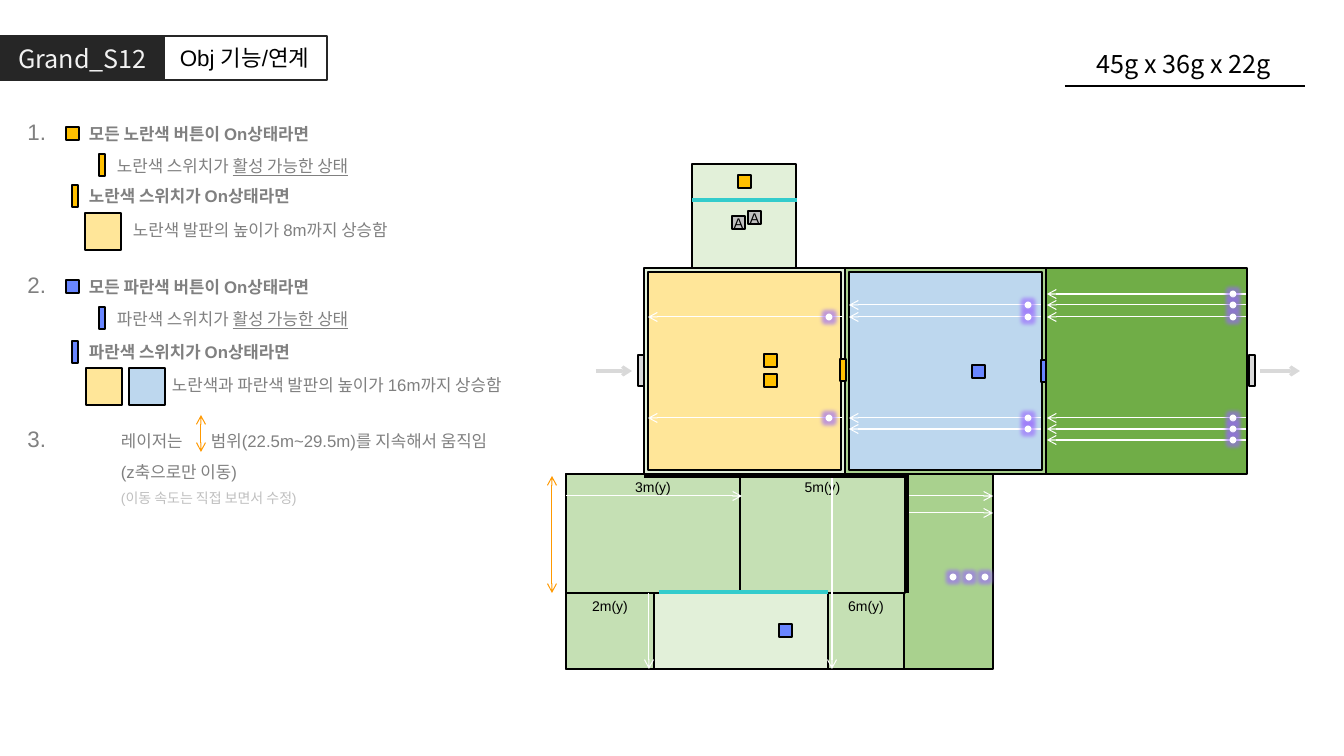
from dataclasses import dataclass
from itertools import chain
from typing import NamedTuple, Optional

from lxml.etree import SubElement
from pptx import Presentation
from pptx.dml.color import RGBColor
from pptx.enum.shapes import MSO_CONNECTOR, MSO_SHAPE
from pptx.enum.text import MSO_ANCHOR, PP_ALIGN
from pptx.oxml.ns import qn
from pptx.util import Emu, Pt

SCALE = 12192000 / 1344  # EMU per pixel
COLORS = {
    "white": "FFFFFF", "black": "000000", "dark": "262626", "light": "F2F2F2",
    "text": "808080", "faint": "BFBFBF", "gate": "D9D9D9", "orange": "FF9900",
    "teal": "33CCCC", "yellow": "FFC000", "blue": "6986FF", "glow": "9966FF",
    "yellow_pad": "FFE699", "blue_pad": "BDD7EE", "pale": "E2F0D9",
    "soft": "C5E0B4", "mid": "A9D18E", "deep": "70AD47",
}
SANS, NOTO = "Arial", "Noto Sans CJK KR"
BUTTON, SWITCH, PAD, GATE = (13, 13), (6, 22), (36, 37), (6, 31)


class Run(NamedTuple):
    text: str
    size: int = 12
    color: str = "text"
    font: str = SANS
    bold: bool = False
    underline: bool = False


class Box(NamedTuple):
    x: int
    y: int
    w: int
    h: int
    fill: Optional[str] = None
    line: Optional[str] = "black"
    weight: float = 1
    run: Optional[Run] = None
    middle: bool = False
    tight: bool = False


class Line(NamedTuple):
    x1: int
    y1: int
    x2: int
    y2: int
    color: str = "white"
    weight: float = 0.75
    head: bool = False
    tail: bool = True


class Lasers(NamedTuple):
    start: int
    end: int
    emitter: int
    rows: tuple


@dataclass
class Rule:
    number: str
    word: str
    color: str
    top: int
    switch_top: int
    pad_top: int
    pads: dict
    result: str
    result_x: int


def px(n: float) -> Emu:
    """Turn pixels into EMU."""
    return Emu(round(n * SCALE))


def rgb(name: str) -> RGBColor:
    """Look a colour up by name."""
    return RGBColor.from_string(COLORS[name])


def add_run(p, run: Run) -> None:
    """Append one formatted run to a paragraph."""
    r = p.add_run()
    r.text = run.text
    r.font.size, r.font.name = Pt(run.size), run.font
    r.font.color.rgb = rgb(run.color)
    if run.bold:
        r.font.bold = True
    if run.underline:
        r.font.underline = True


def add_box(box: Box, kind=MSO_SHAPE.RECTANGLE):
    """Draw a preset shape with optional centred text."""
    sp = shapes.add_shape(kind, *map(px, box[:4]))
    sp.shadow.inherit = False
    if box.fill:
        sp.fill.solid()
        sp.fill.fore_color.rgb = rgb(box.fill)
    else:
        sp.fill.background()
    if box.line:
        sp.line.color.rgb = rgb(box.line)
        sp.line.width = Pt(box.weight)
    else:
        sp.line.fill.background()
    if box.run:
        tf = sp.text_frame
        tf.word_wrap = True
        tf.vertical_anchor = MSO_ANCHOR.MIDDLE if box.middle else MSO_ANCHOR.TOP
        if box.tight:
            tf.margin_left = tf.margin_right = tf.margin_top = tf.margin_bottom = 0
        tf.paragraphs[0].alignment = PP_ALIGN.CENTER
        add_run(tf.paragraphs[0], box.run)
    return sp


def add_dot(x: int, y: int) -> None:
    """Draw a glowing laser emitter centred on a point."""
    sp = add_box(Box(x - 2, y - 2, 4, 4, "white", "white", 2), MSO_SHAPE.OVAL)
    effects = sp._element.spPr.find(qn("a:effectLst"))
    glow = SubElement(effects, qn("a:glow"), rad=str(Pt(5)))
    color = SubElement(glow, qn("a:srgbClr"), val=COLORS["glow"])
    SubElement(color, qn("a:alpha"), val="60000")


def add_line(line: Line) -> None:
    """Draw a straight line with optional arrowheads."""
    cx = shapes.add_connector(MSO_CONNECTOR.STRAIGHT, *map(px, line[:4]))
    cx.line.color.rgb = rgb(line.color)
    cx.line.width = Pt(line.weight)
    ln = cx.line._get_or_add_ln()
    for tag, shown in (("a:headEnd", line.head), ("a:tailEnd", line.tail)):
        if shown:
            SubElement(ln, qn(tag), type="arrow")
    SubElement(cx._element.spPr, qn("a:effectLst"))


def add_text(x: int, y: int, w: int, h: int, *paragraphs: list,
             align=PP_ALIGN.LEFT, spacing: Optional[float] = None,
             tab: Optional[int] = None) -> None:
    """Write paragraphs of runs in a wrapping text box."""
    tf = shapes.add_textbox(*map(px, (x, y, w, h))).text_frame
    tf.word_wrap = True
    for i, runs in enumerate(paragraphs):
        p = tf.add_paragraph() if i else tf.paragraphs[0]
        p.alignment = align
        if spacing:
            p.line_spacing = spacing
        if tab and not i:
            tabs = SubElement(p._p.get_or_add_pPr(), qn("a:tabLst"))
            SubElement(tabs, qn("a:tab"), pos=str(px(tab)), algn="l")
        for run in runs:
            add_run(p, run)


def add_number(number: str, top: int) -> None:
    """Write the number of a rule."""
    add_text(6, top, 50, 37, [Run(number, 16)], align=PP_ALIGN.RIGHT)


def add_rule(rule: Rule) -> None:
    """Draw one colour rule of the legend."""
    top, low = rule.top, rule.switch_top
    add_number(rule.number, top)
    add_text(79, top + 6, 413, 30,
             [Run(f"모든 {rule.word} 버튼이 On상태라면", bold=True)])
    add_text(107, top + 38, 413, 30, [Run(f"{rule.word} 스위치가 "),
                                      Run("활성 가능한 상태", underline=True)])
    add_text(79, low - 4, 413, 30, [Run(f"{rule.word} 스위치가 On상태라면", bold=True)])
    add_text(rule.result_x, rule.pad_top + 2, 413, 30, [Run(rule.result)])
    add_box(Box(66, top + 14, *BUTTON, rule.color))
    add_box(Box(99, top + 41, *SWITCH, rule.color))
    add_box(Box(72, low, *SWITCH, rule.color))
    for x, fill in rule.pads.items():
        add_box(Box(x, rule.pad_top, *PAD, fill))


def label(text: str) -> Run:
    """Make a small black map label."""
    return Run(text, 10, "black")


prs = Presentation()
prs.slide_width, prs.slide_height = px(1344), px(756)
shapes = prs.slides.add_slide(prs.slide_layouts[6]).shapes

# Header
add_line(Line(1065, 86, 1305, 86, "black", 1, tail=False))
add_text(1073, 43, 222, 40, [Run("45g x 36g x 22g", 18, "black", NOTO)],
         align=PP_ALIGN.CENTER)
add_box(Box(0, 35, 165, 46, "dark", None, run=Run("Grand_S12", 18, "light", NOTO), middle=True))
add_box(Box(162, 36, 165, 44, None, "dark", 1.5, Run("Obj 기능/연계", 16, "black"), True))

# Upper rooms
ROOM_X = [644 + 201 * i for i in range(3)]
rooms = [Box(x, 268, 201, 206, fill) for x, fill in zip(ROOM_X, ("pale", "mid", "deep"))]
pads = [Box(x + 4, 272, 193, 198, fill)
        for x, fill in zip(ROOM_X, ("yellow_pad", "blue_pad"))]
controls = [Box(840, 359, *SWITCH, "yellow"), Box(764, 354, *BUTTON, "yellow"),
            Box(764, 374, *BUTTON, "yellow"), Box(972, 365, *BUTTON, "blue"),
            Box(1041, 360, *SWITCH, "blue")]
gates = [Box(x, 355, *GATE, "gate") for x in (638, 1249)]
for box in chain(rooms[:2], pads, controls, rooms[2:], gates):
    add_box(box)
for x1, x2 in ((596, 632), (1260, 1300)):
    add_line(Line(x1, 371, x2, 371, "gate", 2.25))

lasers = [Lasers(842, 648, 829, (317, 418)),
          Lasers(1041, 849, 1028, (305, 317, 418, 429)),
          Lasers(1246, 1047, 1233, (294, 305, 317, 418, 429, 440))]
for laser in lasers:
    for y in laser.rows:
        add_line(Line(laser.start, y, laser.end, y))
for laser in lasers:
    for y in laser.rows:
        add_dot(laser.emitter, y)

# Tower
add_box(Box(692, 164, 104, 104, "pale"))
add_line(Line(692, 200, 797, 200, "teal", 3, tail=False))
for x, y in ((748, 211), (732, 216)):
    add_box(Box(x, y, *BUTTON, "faint", run=label("A"), middle=True, tight=True))
add_box(Box(738, 175, *BUTTON, "yellow"))

# Lower rooms
add_box(Box(566, 474, 427, 195, "mid"))
for y in (496, 513):
    add_line(Line(909, y, 993, y))
add_line(Line(907, 593, 907, 474, "black", 3, tail=False))
for box in (Box(828, 593, 76, 76, "soft", run=label("6m(y)")),
            Box(740, 474, 165, 119, "soft", run=label("5m(y)")),
            Box(654, 593, 174, 76, "pale"),
            Box(566, 474, 174, 119, "soft", run=label("3m(y)")),
            Box(566, 593, 88, 76, "soft", run=label("2m(y)"))):
    add_box(box)
for line in (Line(832, 474, 832, 669), Line(649, 593, 649, 669),
             Line(659, 592, 828, 592, "teal", 3, tail=False),
             Line(566, 496, 742, 496),
             Line(552, 593, 552, 476, "orange", head=True),
             Line(907, 476, 644, 476, "black", 3, tail=False)):
    add_line(line)
for i in range(3):
    add_dot(953 + 16 * i, 577)
add_box(Box(779, 624, *BUTTON, "blue"))

# Legend
add_rule(Rule("1.", "노란색", "yellow", 113, 185, 213, {85: "yellow_pad"},
              "노란색 발판의 높이가 8m까지 상승함", 123))
add_rule(Rule("2.", "파란색", "blue", 266, 341, 368, {129: "blue_pad", 86: "yellow_pad"},
              "노란색과 파란색 발판의 높이가 16m까지 상승함", 162))
add_number("3.", 420)
add_text(111, 416, 413, 94, [Run("레이저는\t범위(22.5m~29.5m)를 지속해서 움직임")],
         [Run("(z축으로만 이동)")],
         [Run("(이동 속도는 직접 보면서 수정)", 10, "faint")], spacing=1.5, tab=90)
add_line(Line(201, 452, 201, 415, "orange", head=True))

prs.save("out.pptx")
